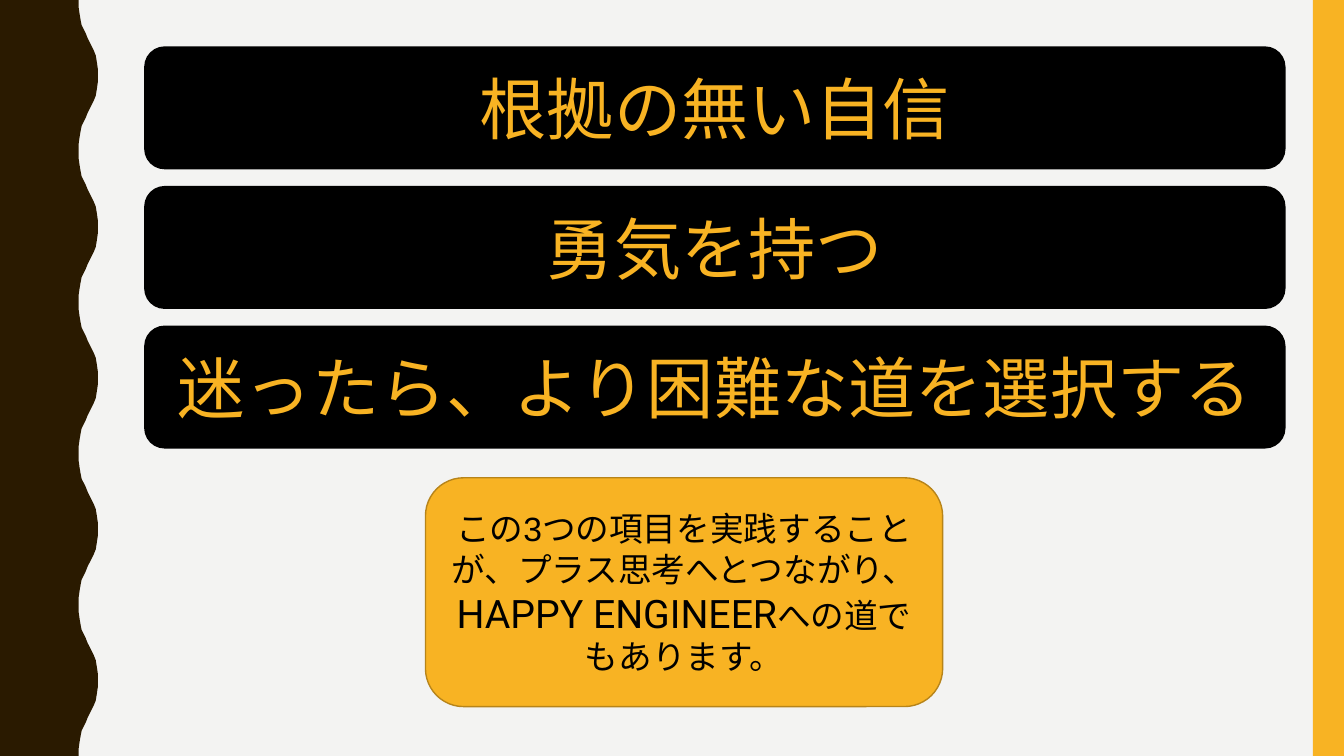
from lxml import etree
from pptx import Presentation
from pptx.dml.color import RGBColor
from pptx.enum.shapes import MSO_SHAPE
from pptx.enum.text import MSO_ANCHOR, PP_ALIGN
from pptx.oxml.ns import qn
from pptx.util import Inches, Pt

RECTANGLE = MSO_SHAPE.RECTANGLE
ROUNDED = MSO_SHAPE.ROUNDED_RECTANGLE
MIDDLE = MSO_ANCHOR.MIDDLE
CENTER = PP_ALIGN.CENTER

COLORS = {
    "background": "F3F3F2",
    "brown": "2A1A00",
    "amber": "F8B323",
    "amber_edge": "B7841A",
    "black": "000000",
}
JAPANESE_FONT = "Noto Sans CJK JP"
PRINCIPLES = ["根拠の無い自信", "勇気を持つ", "迷ったら、より困難な道を選択する"]
SUMMARY = [
    ("この3つの項目を実践することが、プラス思考へとつながり、", 24, "Arial"),
    ("HAPPY ENGINEER", 28, "Roboto"),
    ("への道でもあります。", 24, "Arial"),
]
HALF_WAVE = [
    (0, 0), (0, 0.07), (0.01, 0.14), (0.02, 0.2), (0.03, 0.25),
    (0.05, 0.29), (0.07, 0.33), (0.09, 0.38), (0.11, 0.42), (0.13, 0.46),
    (0.15, 0.5), (0.17, 0.55), (0.18, 0.61), (0.19, 0.68), (0.19, 0.75),
]
WAVE_LENGTH = 1.5


def paint(shape, fill, line=None):
    """Give a shape a flat fill and an optional thin outline."""
    shape.shadow.inherit = False
    shape.fill.solid()
    shape.fill.fore_color.rgb = RGBColor.from_string(COLORS[fill])
    if line:
        shape.line.color.rgb = RGBColor.from_string(COLORS[line])
        shape.line.width = Pt(1)
    else:
        shape.line.fill.background()


def add_block(slide, kind, box, fill, line=None):
    """Add a painted preset shape in a box given in inches."""
    shape = slide.shapes.add_shape(kind, *map(Inches, box))
    paint(shape, fill, line)
    return shape


def write_centered(shape, runs, color):
    """Write runs of (text, size, font) in the middle of a shape."""
    frame = shape.text_frame
    frame.word_wrap = True
    frame.vertical_anchor = MIDDLE
    paragraph = frame.paragraphs[0]
    paragraph.alignment = CENTER
    for text, size, font in runs:
        run = paragraph.add_run()
        run.text = text
        run.font.size = Pt(size)
        run.font.name = font
        run.font.color.rgb = RGBColor.from_string(COLORS[color])
        east_asian = etree.Element(qn("a:ea"), typeface=JAPANESE_FONT)
        run.font._element.find(qn("a:latin")).addnext(east_asian)


def add_wavy_edge(slide, box):
    """Draw a band whose right side repeats a wave down the box."""
    left, top, width, height = box
    depth = max(offset for offset, _ in HALF_WAVE)
    trough = left + width - depth
    wave = HALF_WAVE + [(x, WAVE_LENGTH - y) for x, y in reversed(HALF_WAVE[:-1])]
    edge = [
        (trough + x, top + number * WAVE_LENGTH + y)
        for number in range(round(height / WAVE_LENGTH))
        for x, y in wave
    ]
    points = [(Inches(x), Inches(y)) for x, y in edge + [(left, top + height)]]
    builder = slide.shapes.build_freeform(Inches(left), Inches(top))
    builder.add_line_segments(points, close=True)
    paint(builder.convert_to_shape(), "brown")


def add_principles(slide, box):
    """Stack one black bar per principle, evenly spaced in the box."""
    left, top, width, height = box
    bar_height = 1.22
    step = (height - bar_height) / (len(PRINCIPLES) - 1)
    for index, text in enumerate(PRINCIPLES):
        bar_box = (left, top + index * step, width, bar_height)
        bar = add_block(slide, ROUNDED, bar_box, "black")
        write_centered(bar, [(text, 48, JAPANESE_FONT)], "amber")


def add_summary(slide, box):
    """Add the amber panel with the closing sentence."""
    panel = add_block(slide, ROUNDED, box, "amber", "amber_edge")
    write_centered(panel, SUMMARY, "black")


def main():
    """Build the slide and save it."""
    presentation = Presentation()
    presentation.slide_width = Inches(13.33)
    presentation.slide_height = Inches(7.5)
    slide = presentation.slides.add_slide(presentation.slide_layouts[6])
    background = slide.background.fill
    background.solid()
    background.fore_color.rgb = RGBColor.from_string(COLORS["background"])
    add_wavy_edge(slide, (0, 0, 0.97, 7.5))
    add_block(slide, RECTANGLE, (13.02, 0, 0.31, 7.5), "amber")
    add_principles(slide, (1.43, 0.46, 11.32, 3.99))
    add_summary(slide, (4.22, 4.74, 5.13, 2.27))
    presentation.save("out.pptx")


if __name__ == "__main__":
    main()
